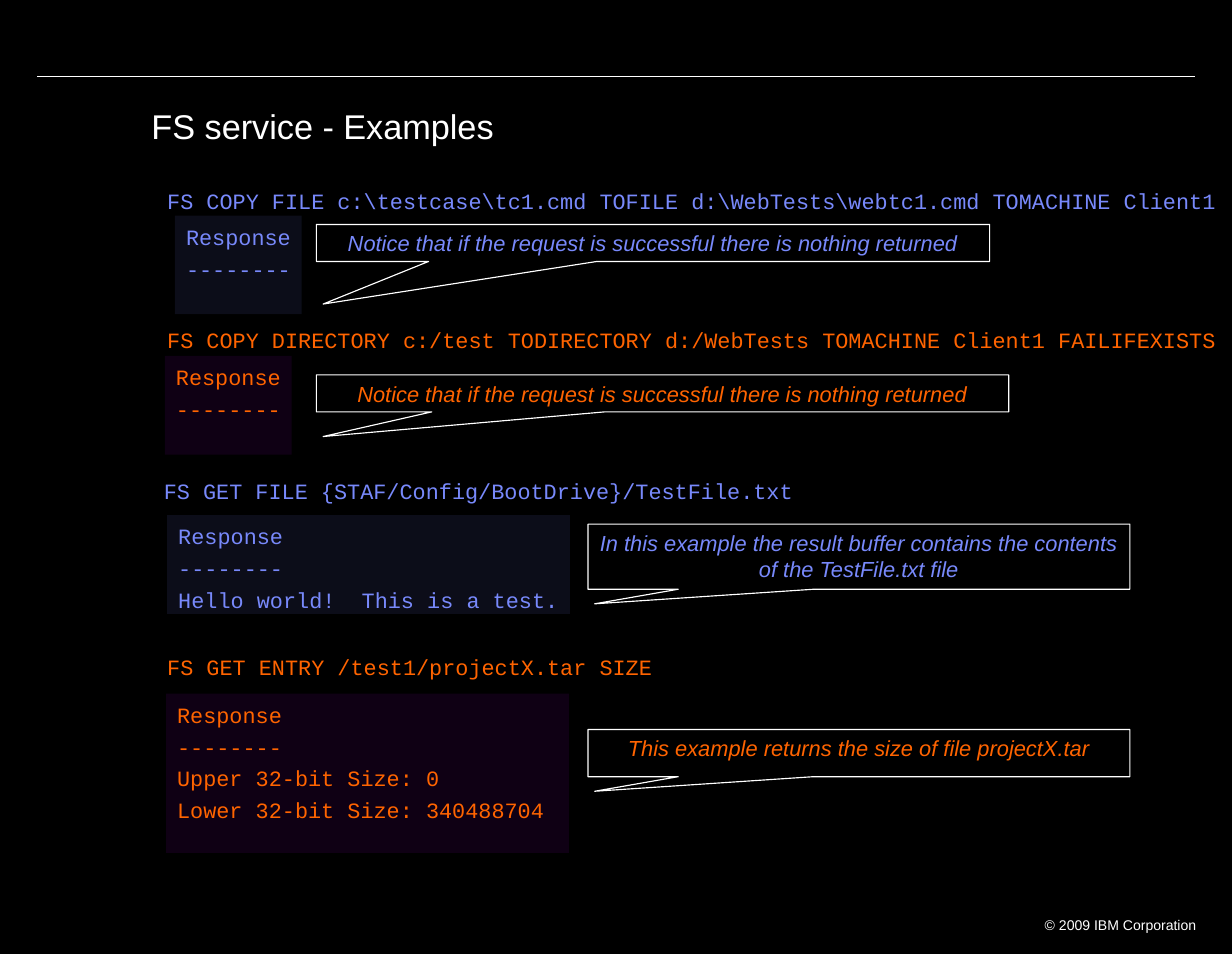
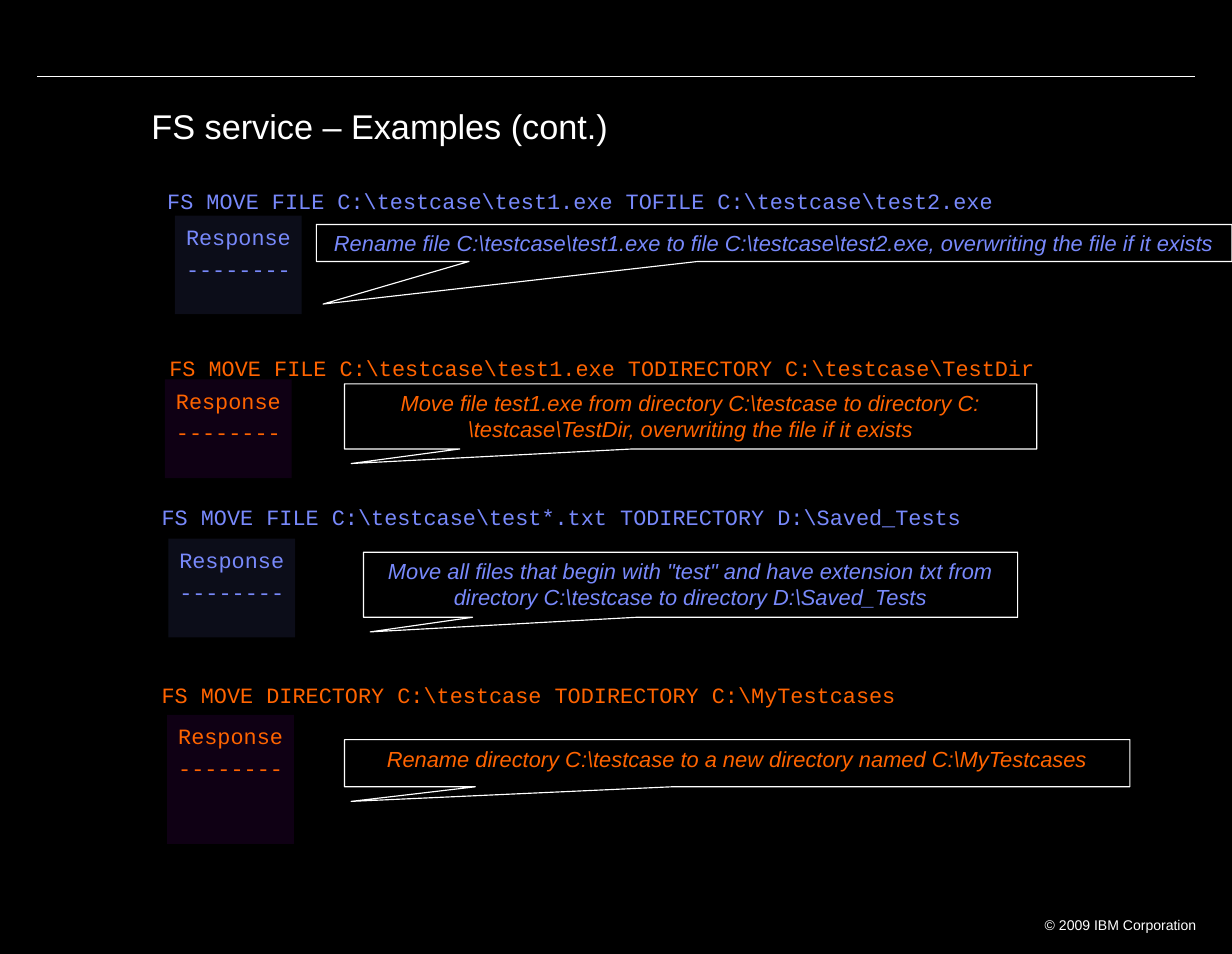
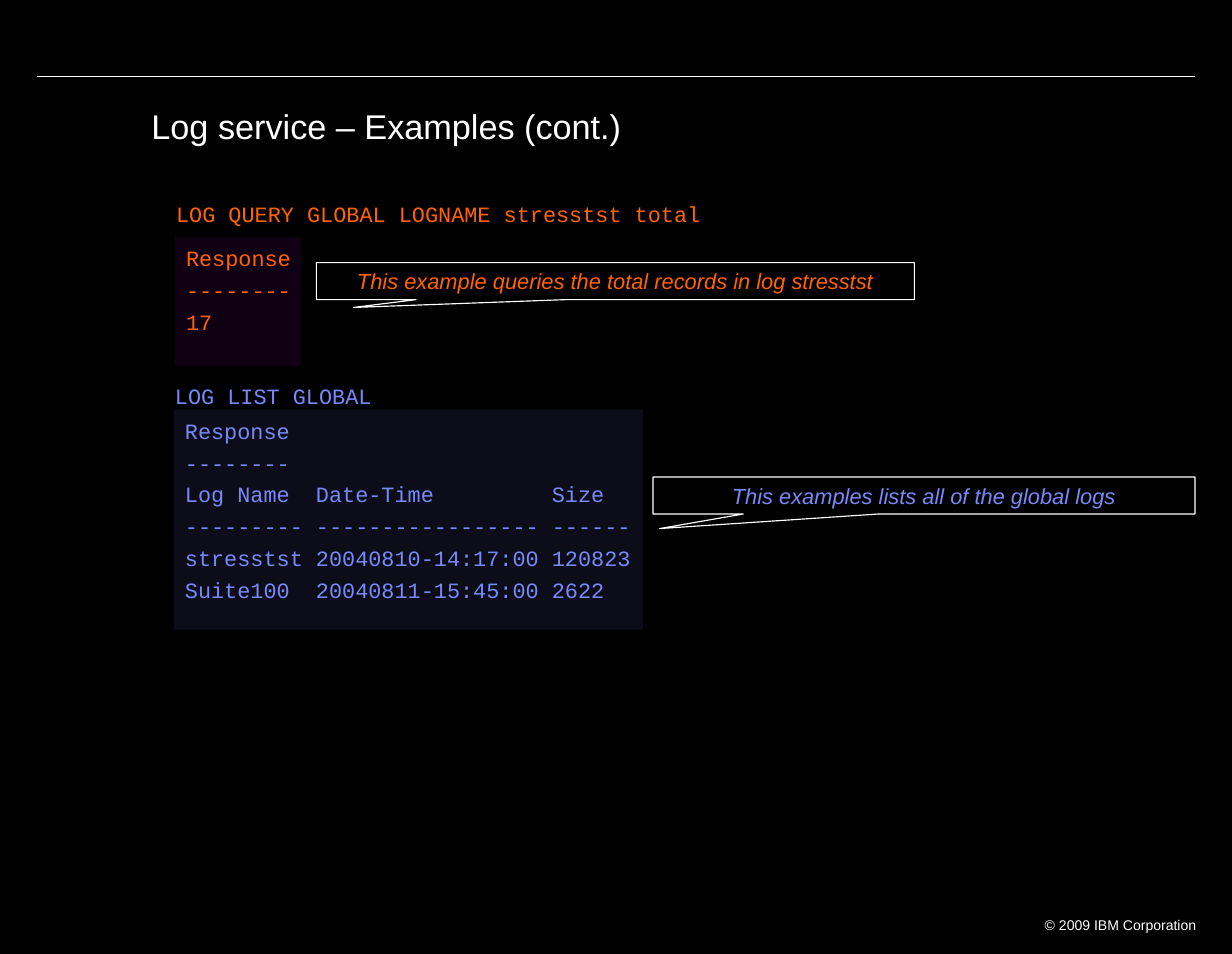
from lxml.etree import SubElement
from pptx import Presentation
from pptx.dml.color import RGBColor
from pptx.enum.shapes import MSO_CONNECTOR as Conn, MSO_SHAPE as Shape
from pptx.enum.text import MSO_ANCHOR as Anchor, PP_ALIGN as Align
from pptx.oxml.ns import qn
from pptx.util import Inches, Pt

# Shared look
BLACK = RGBColor(0x00, 0x00, 0x00)
WHITE = RGBColor(0xFF, 0xFF, 0xFF)
BLUE = RGBColor(0x78, 0x89, 0xFB)
ORANGE = RGBColor(0xFF, 0x64, 0x00)
PURPLE = RGBColor(0x99, 0x00, 0xCC)
TINTS = {BLUE: BLUE, ORANGE: PURPLE}
SANS, MONO = "Arial", "Courier New"
HEAD = ["Response", "--------"]
FOOT = "© 2009 IBM Corporation"

# Each example: colour, command (left, top, text),
# panel (left, top, width, height, lines after the heading),
# note (left, top, width, height, tip right, tip down, text)
DONE = "Notice that if the request is successful there is nothing returned"
DECK = [
    ("FS service - Examples", [
        (BLUE,
         (1.49, 1.67, r"FS COPY FILE c:\testcase\tc1.cmd TOFILE "
                      r"d:\WebTests\webtc1.cmd TOMACHINE Client1"),
         (1.56, 1.92, 1.13, 0.88, []),
         (2.82, 2, 6, 0.33, 0.06, 0.38, DONE)),
        (ORANGE,
         (1.49, 2.91, "FS COPY DIRECTORY c:/test TODIRECTORY d:/WebTests "
                      "TOMACHINE Client1 FAILIFEXISTS"),
         (1.47, 3.17, 1.13, 0.88, []),
         (2.82, 3.34, 6.17, 0.33, 0.06, 0.22, DONE)),
        (BLUE,
         (1.46, 4.26, "FS GET FILE {STAF/Config/BootDrive}/TestFile.txt"),
         (1.49, 4.59, 3.59, 0.88, ["Hello world!  This is a test."]),
         (5.24, 4.67, 4.83, 0.58, 0.06, 0.13,
          "In this example the result buffer contains the contents "
          "of the TestFile.txt file")),
        (ORANGE,
         (1.49, 5.82, "FS GET ENTRY /test1/projectX.tar SIZE"),
         (1.48, 6.18, 3.59, 1.42,
          ["Upper 32-bit Size: 0", "Lower 32-bit Size: 340488704"]),
         (5.24, 6.5, 4.83, 0.42, 0.06, 0.13,
          "This example returns the size of file projectX.tar")),
    ]),
    ("FS service – Examples (cont.)", [
        (BLUE,
         (1.49, 1.67, r"FS MOVE FILE C:\testcase\test1.exe TOFILE "
                      r"C:\testcase\test2.exe"),
         (1.56, 1.92, 1.13, 0.88, []),
         (2.82, 2, 8.16, 0.33, 0.06, 0.38,
          r"Rename file C:\testcase\test1.exe to file "
          r"C:\testcase\test2.exe, overwriting the file if it exists")),
        (ORANGE,
         (1.51, 3.16, r"FS MOVE FILE C:\testcase\test1.exe TODIRECTORY "
                      r"C:\testcase\TestDir"),
         (1.47, 3.38, 1.13, 0.88, []),
         (3.07, 3.42, 6.17, 0.58, 0.06, 0.13,
          r"Move file test1.exe from directory C:\testcase to directory "
          r"C:\testcase\TestDir, overwriting the file if it exists")),
        (BLUE,
         (1.44, 4.49, r"FS MOVE FILE C:\testcase\test*.txt TODIRECTORY "
                      r"D:\Saved_Tests"),
         (1.5, 4.8, 1.13, 0.88, []),
         (3.24, 4.92, 5.83, 0.58, 0.06, 0.13,
          'Move all files that begin with "test" and have extension txt '
          r"from directory C:\testcase to directory D:\Saved_Tests")),
        (ORANGE,
         (1.44, 6.07, r"FS MOVE DIRECTORY C:\testcase TODIRECTORY "
                      r"C:\MyTestcases"),
         (1.49, 6.37, 1.13, 1.15, []),
         (3.07, 6.59, 7, 0.42, 0.06, 0.13,
          r"Rename directory C:\testcase to a new directory named "
          r"C:\MyTestcases")),
    ]),
    ("Log service – Examples (cont.)", [
        (ORANGE,
         (1.57, 1.79, "LOG QUERY GLOBAL LOGNAME stresstst total"),
         (1.56, 2.11, 1.13, 1.15, ["17"]),
         (2.82, 2.34, 5.33, 0.33, 0.33, 0.07,
          "This example queries the total records in log stresstst")),
        (BLUE,
         (1.56, 3.41, "LOG LIST GLOBAL"),
         (1.55, 3.65, 4.18, 1.96,
          ["Log Name  Date-Time         Size",
           "--------- ----------------- ------",
           "stresstst 20040810-14:17:00 120823",
           "Suite100  20040811-15:45:00 2622"]),
         (5.82, 4.25, 4.83, 0.33, 0.06, 0.13,
          "This examples lists all of the global logs")),
    ]),
]


def write(shape, lines, size, color, name=SANS, align=Align.LEFT,
          pad=(0.1, 0.05, 0.1, 0.05), after=0, italic=False):
    """Fill a shape with one paragraph per line, all in one style."""
    frame = shape.text_frame
    frame.word_wrap = True
    frame.vertical_anchor = Anchor.TOP
    (frame.margin_left, frame.margin_top,
     frame.margin_right, frame.margin_bottom) = map(Inches, pad)
    frame.text = "\n".join(lines)
    for para in frame.paragraphs:
        para.alignment = align
        para.space_after = Pt(after)
        for run in para.runs:
            font = run.font
            font.name, font.size, font.italic = name, Pt(size), italic
            font.color.rgb = color


def add_text(slide, box, *args, **style):
    write(slide.shapes.add_textbox(*map(Inches, box)), *args, **style)


def add_box(slide, kind, box, fill):
    shape = slide.shapes.add_shape(kind, *map(Inches, box))
    shape.shadow.inherit = False
    shape.fill.solid()
    shape.fill.fore_color.rgb = fill
    return shape


def add_panel(slide, color, left, top, wide, high, lines):
    """Response panel with a 10% tint."""
    panel = add_box(slide, Shape.RECTANGLE, (left, top, wide, high),
                    TINTS[color])
    panel.line.fill.background()
    tint = panel.fill._xPr.find(qn("a:solidFill"))[0]
    SubElement(tint, qn("a:alpha")).set("val", "10000")
    write(panel, HEAD + lines, 14, color, MONO,
          pad=(0.1, 0.07, 0, 0), after=3.6)


def add_note(slide, color, left, top, wide, high, right, down, text):
    """Callout whose tip lies right of its left edge and below its base."""
    note = add_box(slide, Shape.RECTANGULAR_CALLOUT,
                   (left, top, wide, high), BLACK)
    note.line.color.rgb = WHITE
    note.line.width = Pt(0.75)
    note.adjustments[0] = right / wide - 0.5
    note.adjustments[1] = down / high + 0.5
    write(note, [text], 14, color, align=Align.CENTER, italic=True)


def add_frame(slide, text):
    """Title, top rule and footer."""
    title = slide.shapes.title
    title.left, title.top = Inches(1.24), Inches(0.92)
    title.width, title.height = Inches(9.5), Inches(0.62)
    write(title, [text], 22, WHITE, pad=(0.11, 0.06, 0.11, 0.06))
    title.text_frame.paragraphs[0].line_spacing = 0.9
    rule = slide.shapes.add_connector(
        Conn.STRAIGHT, *map(Inches, (0.33, 0.68, 10.65, 0.68)))
    rule.line.color.rgb = WHITE
    rule.line.width = Pt(0.75)
    SubElement(rule._element.spPr, qn("a:effectLst"))
    add_text(slide, (9.12, 8.11, 1.65, 0.23), [FOOT], 9, WHITE,
             align=Align.RIGHT, pad=(0, 0.06, 0.11, 0.06))


def main():
    prs = Presentation()
    prs.slide_width, prs.slide_height = Inches(10.98), Inches(8.5)
    back = prs.slide_master.background.fill
    back.solid()
    back.fore_color.rgb = BLACK
    for title, items in DECK:
        slide = prs.slides.add_slide(prs.slide_layouts[5])
        add_frame(slide, title)
        for color, (left, top, text), panel, note in items:
            add_text(slide, (left, top, 9.4, 0.23), [text], 14, color,
                     MONO, pad=(0, 0, 0, 0))
            add_panel(slide, color, *panel)
            add_note(slide, color, *note)
    prs.save("out.pptx")


if __name__ == "__main__":
    main()
